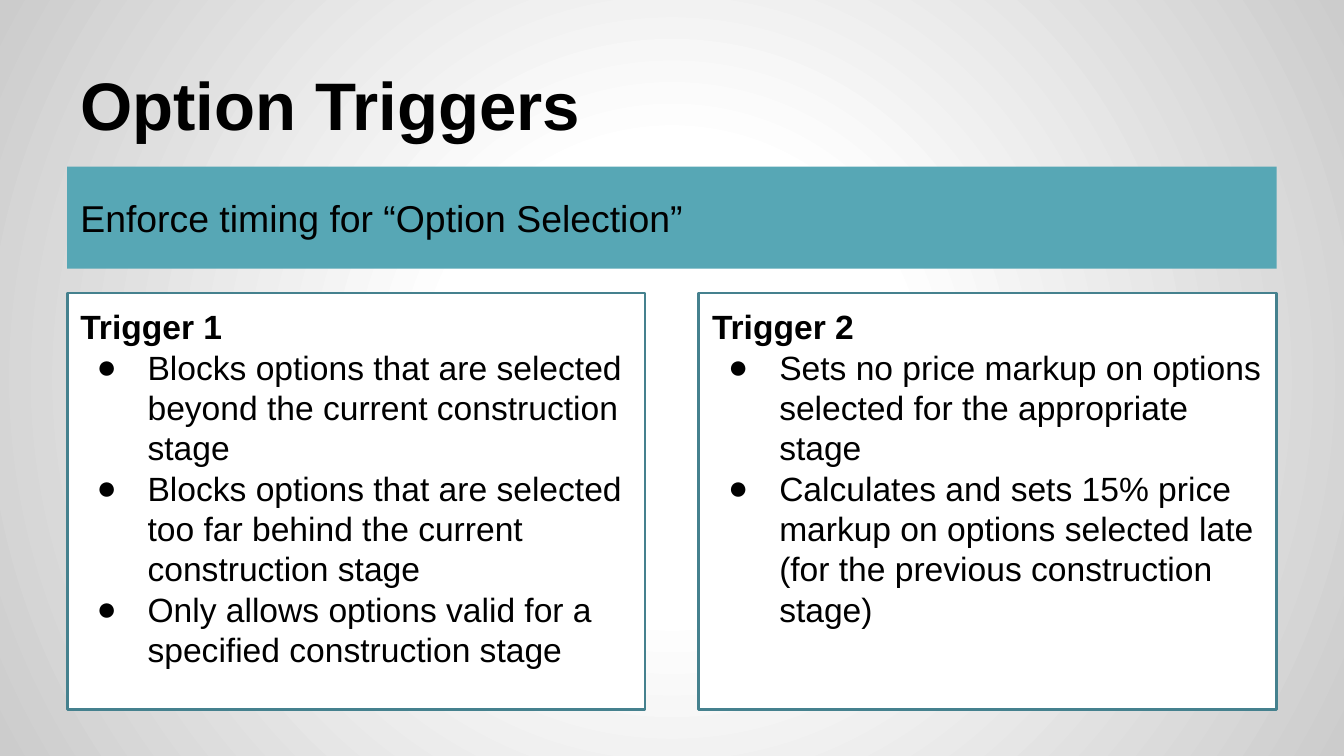
from pptx import Presentation
from pptx.dml.color import RGBColor
from pptx.enum.shapes import MSO_SHAPE
from pptx.enum.text import MSO_ANCHOR, PP_ALIGN
from pptx.oxml import parse_xml
from pptx.oxml.ns import nsdecls
from pptx.util import Inches, Pt

RECTANGLE = MSO_SHAPE.RECTANGLE
TOP, MIDDLE, BOTTOM = MSO_ANCHOR.TOP, MSO_ANCHOR.MIDDLE, MSO_ANCHOR.BOTTOM
LEFT = PP_ALIGN.LEFT
BLACK = RGBColor(0x00, 0x00, 0x00)
WHITE = RGBColor(0xFF, 0xFF, 0xFF)
TEAL = RGBColor(0x57, 0xA7, 0xB5)
DARK_TEAL = RGBColor(0x45, 0x81, 0x8E)
GRAY = RGBColor(0xCC, 0xCC, 0xCC)

SLIDE_WIDTH = Inches(10)
SLIDE_HEIGHT = SLIDE_WIDTH * 9 // 16
MARGIN = Inches(0.5)
CONTENT_WIDTH = SLIDE_WIDTH - 2 * MARGIN
COLUMN_WIDTH = Inches(4.3)
COLUMN_TOP = Inches(2.18)
COLUMN_HEIGHT = Inches(3.1)

TRIGGERS = [
    ("Trigger 1", [
        "Blocks options that are selected beyond the current construction stage",
        "Blocks options that are selected too far behind the current construction stage",
        "Only allows options valid for a specified construction stage",
    ]),
    ("Trigger 2", [
        "Sets no price markup on options selected for the appropriate stage",
        "Calculates and sets 15% price markup on options selected late "
        "(for the previous construction stage)",
    ]),
]


def write_text(shape, lines, size, anchor, bold_first=False):
    text_frame = shape.text_frame
    text_frame.text = "\n".join(lines)
    text_frame.word_wrap = True
    text_frame.vertical_anchor = anchor
    text_frame.margin_left = text_frame.margin_right = Inches(0.1)
    text_frame.margin_top = text_frame.margin_bottom = Inches(0.1)
    for index, paragraph in enumerate(text_frame.paragraphs):
        paragraph.alignment = LEFT
        font = paragraph.runs[0].font
        font.name = "Arial"
        font.size = Pt(size)
        font.bold = bold_first and index == 0
        font.color.rgb = BLACK


def add_box(left, top, width, height, color):
    shape = slide.shapes.add_shape(RECTANGLE, left, top, width, height)
    shape.shadow.inherit = False
    shape.fill.solid()
    shape.fill.fore_color.rgb = color
    shape.line.fill.background()
    return shape


presentation = Presentation()
presentation.slide_width = SLIDE_WIDTH
presentation.slide_height = SLIDE_HEIGHT
slide = presentation.slides.add_slide(presentation.slide_layouts[6])

stops = "".join(
    f'<a:gs pos="{share * 1000}"><a:srgbClr val="{color}"/></a:gs>'
    for share, color in [(0, WHITE), (30, WHITE), (100, GRAY)]
)
background = parse_xml(
    f'<p:bg {nsdecls("p", "a")}><p:bgPr><a:gradFill><a:gsLst>{stops}</a:gsLst>'
    '<a:path path="circle"><a:fillToRect l="50000" t="50000" r="50000" b="50000"/></a:path>'
    '</a:gradFill><a:effectLst/></p:bgPr></p:bg>'
)
slide.element.cSld.insert(0, background)

title = slide.shapes.add_textbox(MARGIN, Inches(0.23), CONTENT_WIDTH, Inches(0.94))
write_text(title, ["Option Triggers"], 36, BOTTOM, bold_first=True)

banner = add_box(MARGIN, Inches(1.24), CONTENT_WIDTH, Inches(0.76), TEAL)
write_text(banner, ["Enforce timing for “Option Selection”"], 20, MIDDLE)

for column, (heading, bullets) in enumerate(TRIGGERS):
    left = MARGIN + column * (CONTENT_WIDTH - COLUMN_WIDTH)
    card = add_box(left, COLUMN_TOP, COLUMN_WIDTH, COLUMN_HEIGHT, WHITE)
    card.line.color.rgb = DARK_TEAL
    card.line.width = Pt(1.5)
    write_text(card, [heading] + bullets, 18, TOP, bold_first=True)
    for paragraph in card.text_frame.paragraphs:
        paragraph.line_spacing = Pt(21.6)
    for paragraph in card.text_frame.paragraphs[1:]:
        properties = paragraph._p.get_or_add_pPr()
        properties.set("marL", str(Inches(0.5)))
        properties.set("indent", str(Inches(-0.38)))
        properties.append(parse_xml(
            f'<a:buClr {nsdecls("a")}><a:srgbClr val="{BLACK}"/></a:buClr>'))
        properties.append(parse_xml(f'<a:buFont {nsdecls("a")} typeface="Arial"/>'))
        properties.append(parse_xml(f'<a:buChar {nsdecls("a")} char="●"/>'))

presentation.save("out.pptx")
